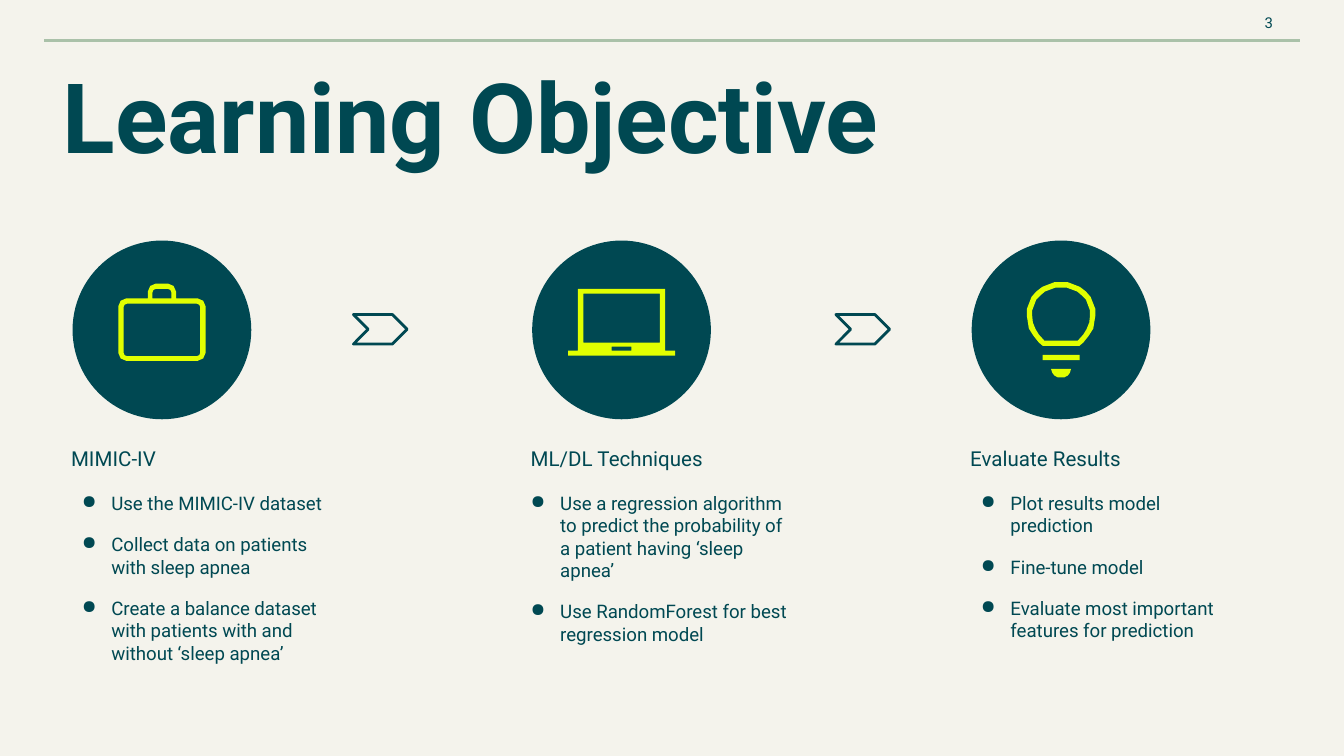
from dataclasses import dataclass

from lxml import etree
from pptx import Presentation
from pptx import util as u
from pptx.dml.color import RGBColor
from pptx.enum import shapes, text
from pptx.oxml.ns import qn


@dataclass(frozen=True)
class Theme:
    paper: RGBColor = RGBColor(0xF4, 0xF3, 0xEC)
    ink: RGBColor = RGBColor(0x00, 0x48, 0x52)
    rule: RGBColor = RGBColor(0xAA, 0xC1, 0xA9)
    accent: RGBColor = RGBColor(0xE1, 0xFF, 0x00)
    font: str = "Roboto"
    title: float = 52
    heading: float = 11
    body: float = 10
    number: float = 8
    stroke: float = 1.5
    gap: float = 10


class Page:
    """One slide on a grid of 100 columns by 56.25 rows of square cells."""

    def __init__(self, deck, theme):
        self.theme = theme
        self.cell = deck.slide_width / 100
        self.slide = deck.slides.add_slide(deck.slide_layouts[6])
        fill = self.slide.background.fill
        fill.solid()
        fill.fore_color.rgb = theme.paper

    def grid(self, *cells):
        return [u.Emu(round(cell * self.cell)) for cell in cells]

    def label(self, area, lines, size, bold=False, align=None, middle=False, bullets=False):
        box = self.slide.shapes.add_textbox(*self.grid(*area))
        frame = box.text_frame
        frame.word_wrap = True
        frame.margin_left = frame.margin_right = u.Inches(0.1)
        frame.margin_top = frame.margin_bottom = u.Inches(0.1)
        if middle:
            frame.vertical_anchor = text.MSO_ANCHOR.MIDDLE
        for index, line in enumerate(lines):
            para = frame.paragraphs[0] if index == 0 else frame.add_paragraph()
            para.text = line
            if align is not None:
                para.alignment = align
            if index:
                para.space_before = u.Pt(self.theme.gap)
            if bullets:
                self.bullet(para)
            para.font.name = self.theme.font
            para.font.size = u.Pt(size)
            para.font.bold = bold
            para.font.color.rgb = self.theme.ink

    def bullet(self, para):
        props = para._p.get_or_add_pPr()
        props.set("marL", str(u.Inches(0.3)))
        props.set("indent", str(u.Inches(-0.22)))
        etree.SubElement(props, qn("a:buChar")).set("char", "●")

    def line(self, start, end):
        rule = self.slide.shapes.add_connector(
            shapes.MSO_CONNECTOR.STRAIGHT, *self.grid(*start, *end))
        rule.line.color.rgb = self.theme.rule
        rule.line.width = u.Pt(self.theme.stroke)
        etree.SubElement(rule._element.spPr, qn("a:effectLst"))

    def paint(self, shape, fill=None, line=None):
        shape.shadow.inherit = False
        for part, color in ((shape.fill, fill), (shape.line.fill, line)):
            if color is None:
                part.background()
            else:
                part.solid()
                part.fore_color.rgb = color
        if line is not None:
            shape.line.width = u.Pt(self.theme.stroke)

    def disc(self, left, top, size):
        kind = shapes.MSO_SHAPE.OVAL
        disc = self.slide.shapes.add_shape(kind, *self.grid(left, top, size, size))
        self.paint(disc, fill=self.theme.ink)

    def chevron(self, area):
        chevron = self.slide.shapes.add_shape(shapes.MSO_SHAPE.CHEVRON, *self.grid(*area))
        chevron.adjustments[0] = 0.5
        self.paint(chevron, line=self.theme.ink)

    def icon(self, center, top, outlines):
        """Draw closed outlines; each point is an offset from (center, top)."""
        builder = None
        for outline in outlines:
            first, *rest = [self.grid(center + x, top + y) for x, y in outline]
            if builder is None:
                builder = self.slide.shapes.build_freeform(*first, scale=1.0)
            else:
                builder.move_to(*first)
            builder.add_line_segments(rest, close=True)
        self.paint(builder.convert_to_shape(), fill=self.theme.accent)


def mirror(half):
    """Close a right-hand half outline with its reflection."""
    return half + [(-x, y) for x, y in reversed(half)]


def panel(half_width, top, bottom, cut=0.0, foot=True):
    """Rectangle around the axis with corners softened by cut."""
    bend = cut * 0.3
    corner = [(half_width - cut, top), (half_width - bend, top + bend),
              (half_width, top + cut)]
    base = [(half_width, bottom - cut), (half_width - bend, bottom - bend),
            (half_width - cut, bottom)]
    if not cut:
        corner, base = [(half_width, top)], [(half_width, bottom)]
    return mirror(corner + (base if foot else [(half_width, bottom)]))


# Icon outlines, as offsets from the top centre
BRIEFCASE = [
    panel(3.25, 1.1, 5.75, 0.6), panel(2.85, 1.5, 5.4, 0.25),
    panel(1.05, 0, 1.1, 0.6, foot=False), panel(0.7, 0.4, 1.1, 0.25, foot=False),
]
LAPTOP = [
    mirror([(3.25, 0), (3.25, 4.6), (3.98, 4.6), (3.98, 4.97)]),
    panel(2.85, 0.35, 4.0), panel(0.73, 4.3, 4.6),
]
BULB = [
    mirror([(0.5, 0), (1.4, 0.35), (1.85, 0.7), (2.2, 1.1), (2.55, 2), (2.55, 2.5),
            (2.5, 2.8), (2.4, 3.45), (2.05, 4), (1.65, 4.5), (1.35, 4.75)]),
    mirror([(0.4, 0.4), (1.2, 0.7), (1.55, 1), (1.85, 1.3), (2.15, 2.1), (2.15, 2.5),
            (2.1, 3), (1.9, 3.5), (1.65, 3.9), (1.25, 4.35)]),
    panel(1.38, 5.42, 5.8),
    mirror([(0.75, 6.45), (0.65, 6.75), (0.5, 6.95), (0.25, 7.08)]),
]

# Disc left, heading left, body left, icon top, icon, heading, bullets
STEPS = [
    (5.4, 4.3, 4.3, 21.1, BRIEFCASE, "MIMIC-IV",
     ["Use the MIMIC-IV dataset", "Collect data on patients with sleep apnea",
      "Create a balance dataset with patients with and without ‘sleep apnea’"]),
    (39.6, 38.5, 37.7, 21.5, LAPTOP, "ML/DL Techniques",
     ["Use a regression algorithm to predict the probability of a patient having ‘sleep apnea’",
      "Use RandomForest for best regression model"]),
    (72.3, 71.2, 71.2, 21, BULB, "Evaluate Results",
     ["Plot results model prediction", "Fine-tune model",
      "Evaluate most important features for prediction"]),
]


def main():
    theme = Theme()
    deck = Presentation()
    deck.slide_width, deck.slide_height = u.Inches(10), u.Inches(5.625)
    page = Page(deck, theme)

    # Header
    page.line((3.3, 3), (96.7, 3))
    page.label((86.3, 0.2, 9.4, 3), ["3"], theme.number,
               align=text.PP_ALIGN.RIGHT, middle=True)
    page.label((3.7, 3.2, 84.7, 11.6), ["Learning Objective"], theme.title, bold=True)

    # Steps
    disc_size = 13.3
    for disc, heading_left, body_left, icon_top, icon, heading, bullets in STEPS:
        page.disc(disc, 17.9, disc_size)
        page.icon(disc + disc_size / 2, icon_top, icon)
        page.label((heading_left, 32.3, 24.9, 3.4), [heading], theme.heading)
        page.label((body_left, 35.6, 21.9, 12.7), bullets, theme.body, bullets=True)

    # Arrows between the steps
    for left in (26.3, 62.2):
        page.chevron((left, 23.4, 4, 2.2))

    deck.save("out.pptx")


if __name__ == "__main__":
    main()
